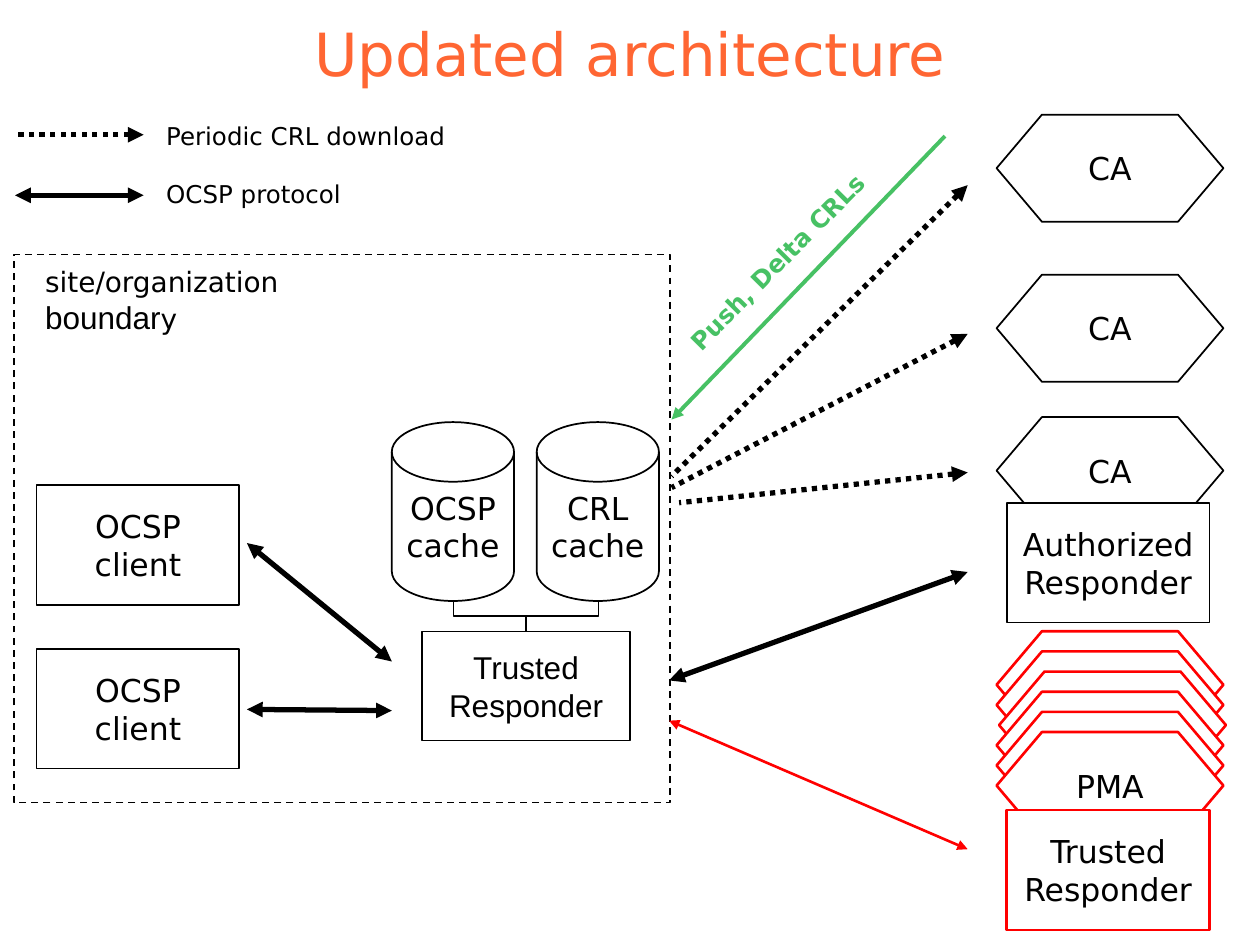
from pptx import Presentation, util as u
from pptx.dml.color import RGBColor
from pptx.enum import dml, shapes, text
from pptx.oxml import ns, xmlchemy as xc

BLACK = RGBColor(0, 0, 0)
WHITE = RGBColor(255, 255, 255)
RED = RGBColor(255, 0, 0)
GREEN = RGBColor(0x47, 0xC1, 0x64)
ORANGE = RGBColor(255, 0x66, 0x33)
SANS, ARIAL = "DejaVu Sans", "Arial"
KIND = shapes.MSO_SHAPE
DISK = KIND.FLOWCHART_MAGNETIC_DISK
HEX = KIND.FLOWCHART_PREPARATION
LINK = shapes.MSO_CONNECTOR
DASH, DOT = dml.MSO_LINE.DASH, dml.MSO_LINE.ROUND_DOT
MID, LOW, TOP = (text.MSO_ANCHOR.MIDDLE, text.MSO_ANCHOR.BOTTOM,
                 text.MSO_ANCHOR.TOP)
LEFT, CENTER = text.PP_ALIGN.LEFT, text.PP_ALIGN.CENTER


def style(item, **form):
    for key, value in form.items():
        setattr(item, key, value)


def ink(font, size, color=BLACK, name=SANS, bold=False):
    style(font, size=u.Pt(size), name=name, bold=bold)
    font.color.rgb = color


def write(frame, words, size, align=CENTER, anchor=TOP, wrap=True, gap=0, **look):
    """Fill a frame; each line of words is one paragraph, gap apart."""
    style(frame, text=words, word_wrap=wrap, vertical_anchor=anchor)
    for i, para in enumerate(frame.paragraphs):
        para.alignment = align
        if i and gap:
            para.space_before = u.Pt(gap)
        for run in para.runs:
            ink(run.font, size, **look)


def label(slide, box, words, size, **look):
    note = slide.shapes.add_textbox(*map(u.Inches, box))
    write(note.text_frame, words, size, **look)
    return note


def node(slide, kind, box, words="", fill=None, color=BLACK, width=1,
         dash=None, name=SANS):
    part = slide.shapes.add_shape(kind, *map(u.Inches, box))
    part.shadow.inherit = False
    if fill is None:
        part.fill.background()
    else:
        part.fill.solid()
        part.fill.fore_color.rgb = fill
    part.line.color.rgb = color
    style(part.line, width=u.Pt(width), dash_style=dash)
    if words:
        write(part.text_frame, words, 18, anchor=MID, wrap=False, name=name)


def link(slide, start, end, color=BLACK, width=3, dash=None, ends=(),
         kind=LINK.STRAIGHT, turn=0):
    wire = slide.shapes.add_connector(kind, *map(u.Inches, start + end))
    wire.line.color.rgb = color
    style(wire.line, width=u.Pt(width), dash_style=dash)
    props = wire.element.spPr
    for tag in ends:
        tip = xc.OxmlElement(f"a:{tag}")
        tip.set("type", "triangle")
        props.find(ns.qn("a:ln")).append(tip)
    props.append(xc.OxmlElement("a:effectLst"))
    if turn:
        props.find(ns.qn("a:xfrm")).set("rot", str(turn * 60000))


BOTH, HEAD, TAIL = ("headEnd", "tailEnd"), ("headEnd",), ("tailEnd",)


def legend(slide, x, y):
    """Key to the two arrow styles."""
    for top, dash, ends in ((0.16, DOT, HEAD), (0.64, None, BOTH)):
        link(slide, (x + 1.02, y + top), (x, y + top), dash=dash, ends=ends)
    label(slide, (x + 1.1, y, 2.76, 0.8),
          "Periodic CRL download\nOCSP protocol", 14, align=LEFT, gap=16.4)


def site(slide, x, y):
    """Organization with clients, caches and its responder."""
    node(slide, KIND.RECTANGLE, (x, y, 5.21, 4.35), dash=DASH)
    note = label(slide, (x + 0.15, y + 0.03, 3.05, 0.65),
                 "site/organization\v", 16, align=LEFT)
    para = note.text_frame.paragraphs[0]
    for words, size, name in (("boundar", 18, ARIAL), ("y", 16, SANS)):
        run = para.add_run()
        run.text = words
        ink(run.font, size, name=name)

    # Clients and their links
    for top, start, end in ((1.83, 3.23, 2.29), (3.13, 3.62, 3.61)):
        node(slide, KIND.RECTANGLE, (x + 0.18, y + top, 1.61, 0.95),
             "OCSP\vclient")
        link(slide, (x + 3, y + start), (x + 1.85, y + end), ends=BOTH)

    # Caches above the responder
    for i, name in enumerate(("OCSP", "CRL")):
        node(slide, DISK, (x + 3 + 1.15 * i, y + 1.33, 0.97, 1.42),
             f"{name}\vcache")
    node(slide, KIND.RECTANGLE, (x + 3.24, y + 2.99, 1.65, 0.87),
         "Trusted\vResponder", fill=WHITE, width=0.75, name=ARIAL)

    # Elbows lie on their side, so each is turned about its centre
    for mid, half, turn in ((3.78, 0.12, 270), (4.35, -0.12, 90)):
        link(slide, (x + mid - half, y + 3.16), (x + mid + half, y + 2.58),
             width=0.75, kind=LINK.ELBOW, turn=turn)


def issuers(slide, x, y):
    """Column of authorities with their responders."""
    for top in (0, 1.27, 2.4):
        node(slide, HEX, (x, y + top, 1.8, 0.85), "CA")
    node(slide, KIND.RECTANGLE, (x + 0.08, y + 3.08, 1.61, 0.95),
         "Authorized\vResponder", fill=WHITE)

    # Stack of red authorities, the front one named
    red = dict(fill=WHITE, color=RED, width=1.5)
    for i in range(6):
        shift = 0.02 if i == 2 else 0
        node(slide, HEX, (x + shift, y + 4.1 + 0.16 * i, 1.8, 0.85),
             "PMA" if i == 5 else "", **red)
    node(slide, KIND.RECTANGLE, (x + 0.08, y + 5.52, 1.61, 0.95),
         "Trusted\vResponder", **red)


def traffic(slide, x, y):
    """Links between the site edge and the authorities."""
    far = x + 2.37
    for start, left, end in ((0.39, 0.02, 2.7), (1.57, 0.02, 2.79),
                             (2.67, 0.08, 2.91)):
        link(slide, (far, y + start), (x + left, y + end), dash=DOT, ends=HEAD)
    link(slide, (x, y + 4.32), (far, y + 3.46), ends=BOTH)
    link(slide, (x, y + 4.64), (far, y + 5.66), color=RED, width=1.5, ends=BOTH)
    link(slide, (x + 2.19, y), (x + 0.02, y + 2.25), color=GREEN, width=2.25,
         ends=TAIL)
    note = label(slide, (x - 0.39, y + 0.83, 2.5, 0.34), "Push, Delta CRLs",
                 14, color=GREEN, bold=True)
    note.rotation = 314.7


def main():
    deck = Presentation()
    style(deck, slide_width=u.Inches(10), slide_height=u.Inches(7.5))
    slide = deck.slides.add_slide(deck.slide_layouts[6])
    label(slide, (0.75, -0.08, 8.5, 0.83), "Updated architecture", 34,
          anchor=LOW, color=ORANGE)
    site(slide, 0.11, 2.02)
    issuers(slide, 7.91, 0.91)
    legend(slide, 0.12, 0.91)
    traffic(slide, 5.31, 1.08)
    deck.save("out.pptx")


if __name__ == "__main__":
    main()
